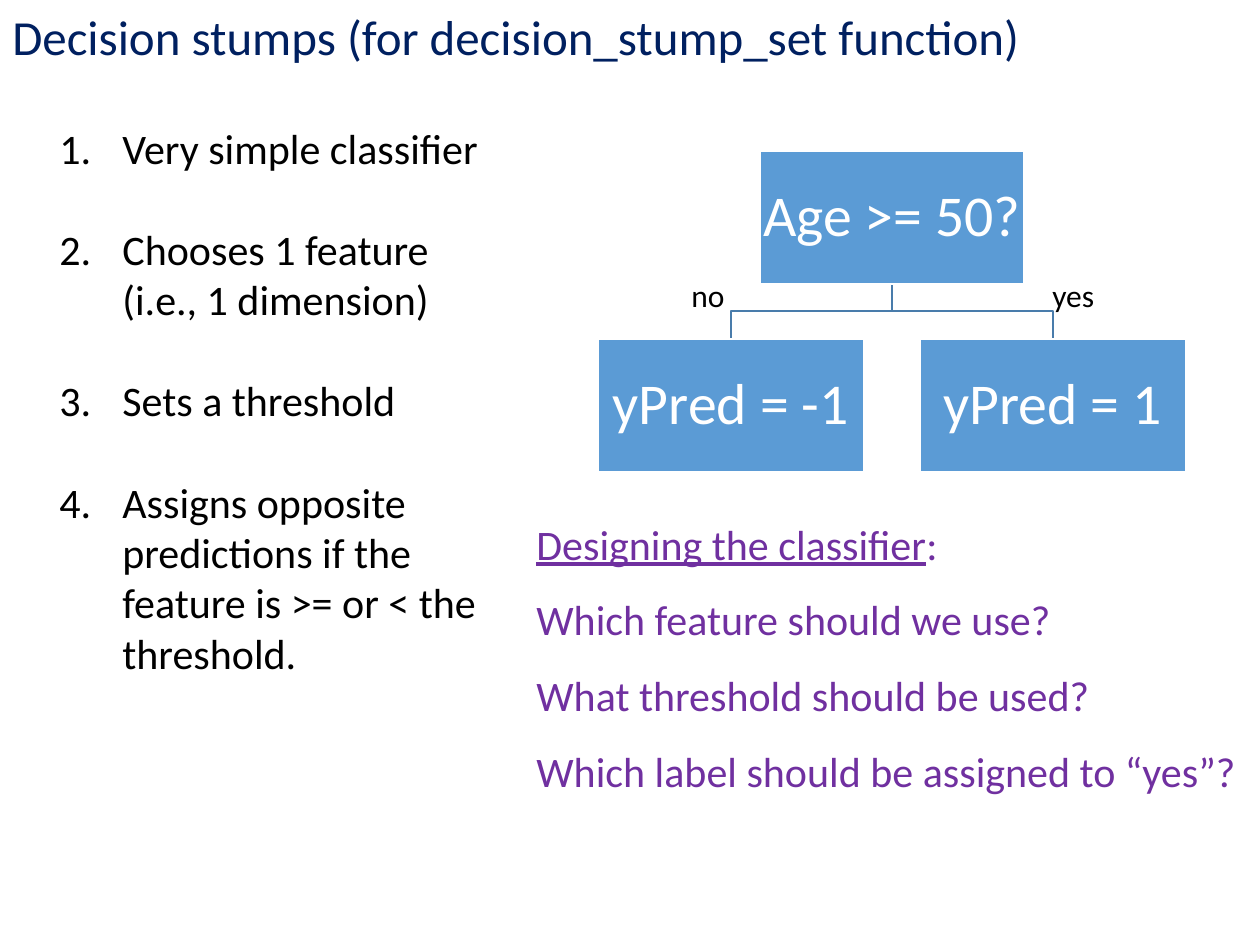
"""Build a slide that explains decision stumps with a small tree diagram."""
from dataclasses import dataclass

from lxml.etree import SubElement
from pptx import Presentation
from pptx.dml.color import RGBColor
from pptx.enum.shapes import MSO_SHAPE
from pptx.enum.text import MSO_ANCHOR, PP_ALIGN
from pptx.oxml.ns import qn
from pptx.shapes.autoshape import Shape
from pptx.slide import Slide
from pptx.text.text import TextFrame
from pptx.util import Inches, Pt

EMU_PER_PIXEL = 914400 / 126


@dataclass(frozen=True)
class Theme:
    font: str = "Calibri"
    title_color: str = "002060"
    body_color: str = "000000"
    question_color: str = "7030A0"
    node_fill: str = "5B9BD5"
    node_text: str = "FFFFFF"
    branch_color: str = "497CAB"
    title_size: int = 28
    body_size: int = 24
    node_size: int = 33
    label_size: int = 18
    line_width: int = 1


@dataclass(frozen=True)
class Box:
    left: int
    top: int
    width: int
    height: int

    @property
    def center(self) -> int:
        return self.left + self.width // 2

    @property
    def bottom(self) -> int:
        return self.top + self.height

    def emu(self) -> tuple[int, ...]:
        return tuple(px(value) for value in (self.left, self.top, self.width, self.height))


@dataclass(frozen=True)
class Node:
    text: str
    box: Box


@dataclass(frozen=True)
class TextBlock:
    lines: tuple[str, ...]
    box: Box
    size: int
    color: str


THEME = Theme()
ROOT = Node("Age >= 50?", Box(760, 151, 264, 133))
LEAVES = (
    Node("yPred = -1", Box(598, 339, 266, 133)),
    Node("yPred = 1", Box(920, 339, 266, 133)),
)
TITLE = TextBlock(
    ("Decision stumps (for decision_stump_set function)",),
    Box(0, 0, 1121, 72), THEME.title_size, THEME.title_color,
)
PROPERTIES = TextBlock(
    (
        "Very simple classifier",
        "Chooses 1 feature (i.e., 1 dimension)",
        "Sets a threshold",
        "Assigns opposite predictions if the feature is >= or < the threshold.",
    ),
    Box(47, 116, 449, 572), THEME.body_size, THEME.body_color,
)
QUESTIONS = TextBlock(
    (
        "Designing the classifier",
        "Which feature should we use?",
        "What threshold should be used?",
        "Which label should be assigned to “yes”?",
    ),
    Box(524, 512, 736, 394), THEME.body_size, THEME.question_color,
)
BRANCH_LABELS = tuple(
    TextBlock((text,), Box(left, 270, 86, 50), THEME.label_size, THEME.body_color)
    for text, left in (("no", 679), ("yes", 1040))
)


def px(value: int) -> int:
    """Convert pixels to EMU."""
    return round(value * EMU_PER_PIXEL)


def format_runs(text_frame: TextFrame, size: int, color: str) -> None:
    """Apply the theme font with one size and colour to every run."""
    for paragraph in text_frame.paragraphs:
        for run in paragraph.runs:
            run.font.name = THEME.font
            run.font.size = Pt(size)
            run.font.color.rgb = RGBColor.from_string(color)


def add_text(slide: Slide, block: TextBlock) -> TextFrame:
    """Add a wrapping text box with one paragraph per line."""
    text_frame = slide.shapes.add_textbox(*block.box.emu()).text_frame
    text_frame.word_wrap = True
    text_frame.text = "\n".join(block.lines)
    format_runs(text_frame, block.size, block.color)
    return text_frame


def number_paragraphs(text_frame: TextFrame) -> None:
    """Turn the paragraphs into a spaced, numbered list."""
    for paragraph in text_frame.paragraphs:
        paragraph.space_after = Pt(29)
        properties = paragraph._p.get_or_add_pPr()
        properties.set("marL", str(Inches(0.5)))
        properties.set("indent", str(-Inches(0.5)))
        SubElement(properties, qn("a:buFont"), typeface="+mj-lt")
        SubElement(properties, qn("a:buAutoNum"), type="arabicPeriod")


def add_questions(slide: Slide) -> None:
    """Add the underlined heading and the widely spaced questions."""
    text_frame = add_text(slide, QUESTIONS)
    heading, *questions = text_frame.paragraphs
    heading.runs[0].font.underline = True
    heading.add_run().text = ":"
    format_runs(text_frame, QUESTIONS.size, QUESTIONS.color)
    for question in questions:
        question.line_spacing = 1.5


def add_branch(slide: Slide, parent: Box, child: Box) -> Shape:
    """Draw an elbow line from the parent to the child."""
    middle = (parent.bottom + child.top) // 2
    builder = slide.shapes.build_freeform(parent.center, parent.bottom, scale=EMU_PER_PIXEL)
    builder.add_line_segments(
        [(parent.center, middle), (child.center, middle), (child.center, child.top)],
        close=False,
    )
    shape = builder.convert_to_shape()
    shape.shadow.inherit = False
    shape.fill.background()
    shape.line.color.rgb = RGBColor.from_string(THEME.branch_color)
    shape.line.width = Pt(THEME.line_width)
    return shape


def add_node(slide: Slide, node: Node) -> Shape:
    """Draw a tree node with centred text."""
    shape = slide.shapes.add_shape(MSO_SHAPE.RECTANGLE, *node.box.emu())
    shape.shadow.inherit = False
    shape.fill.solid()
    shape.fill.fore_color.rgb = RGBColor.from_string(THEME.node_fill)
    shape.line.color.rgb = RGBColor.from_string(THEME.node_text)
    shape.line.width = Pt(THEME.line_width)
    text_frame = shape.text_frame
    text_frame.word_wrap = True
    text_frame.vertical_anchor = MSO_ANCHOR.MIDDLE
    text_frame.margin_left = text_frame.margin_right = Inches(0.02)
    text_frame.margin_top = text_frame.margin_bottom = Inches(0.02)
    text_frame.text = node.text
    text_frame.paragraphs[0].alignment = PP_ALIGN.CENTER
    text_frame.paragraphs[0].line_spacing = 0.9
    format_runs(text_frame, THEME.node_size, THEME.node_text)
    return shape


def main() -> None:
    """Create the presentation and save it."""
    presentation = Presentation()
    presentation.slide_width = Inches(10)
    presentation.slide_height = Inches(7.5)
    slide = presentation.slides.add_slide(presentation.slide_layouts[6])
    add_text(slide, TITLE)
    number_paragraphs(add_text(slide, PROPERTIES))
    for leaf in reversed(LEAVES):
        add_branch(slide, ROOT.box, leaf.box)
    for node in (ROOT, *LEAVES):
        add_node(slide, node)
    add_questions(slide)
    for label in BRANCH_LABELS:
        add_text(slide, label)
    presentation.save("out.pptx")


if __name__ == "__main__":
    main()
